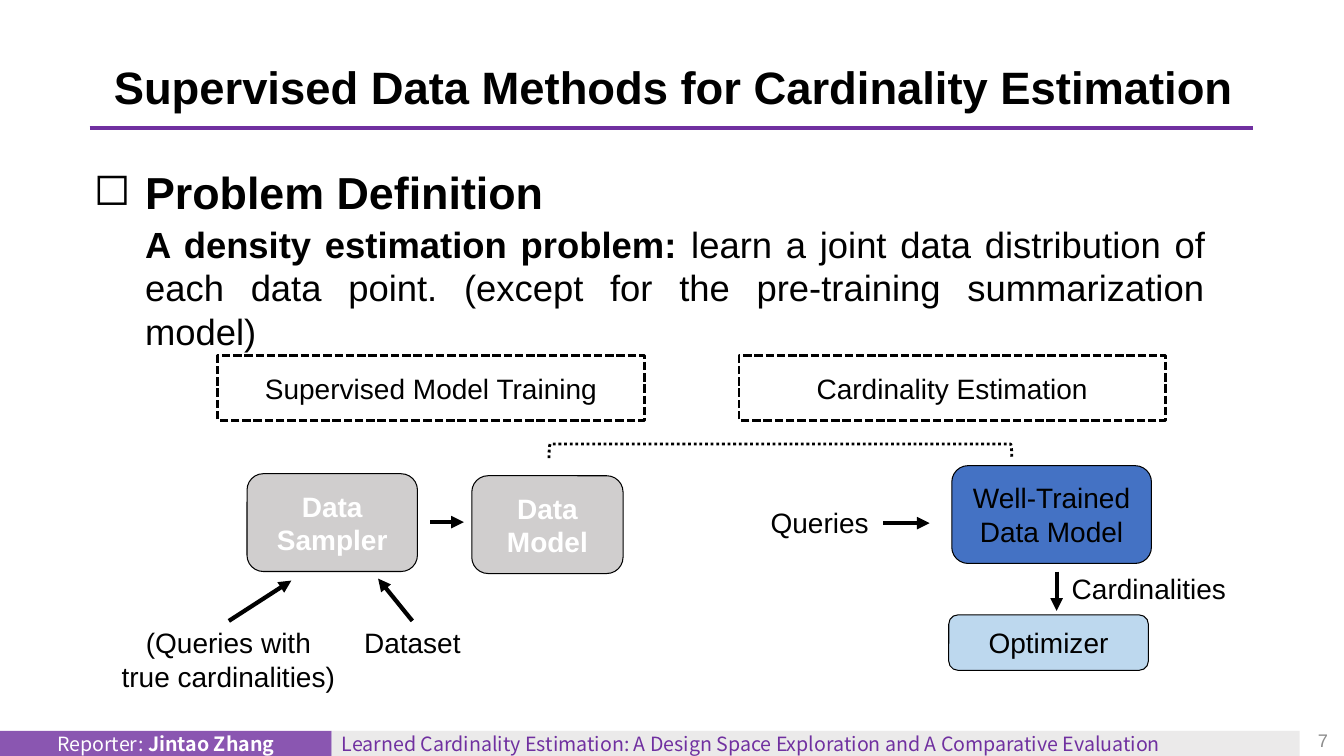
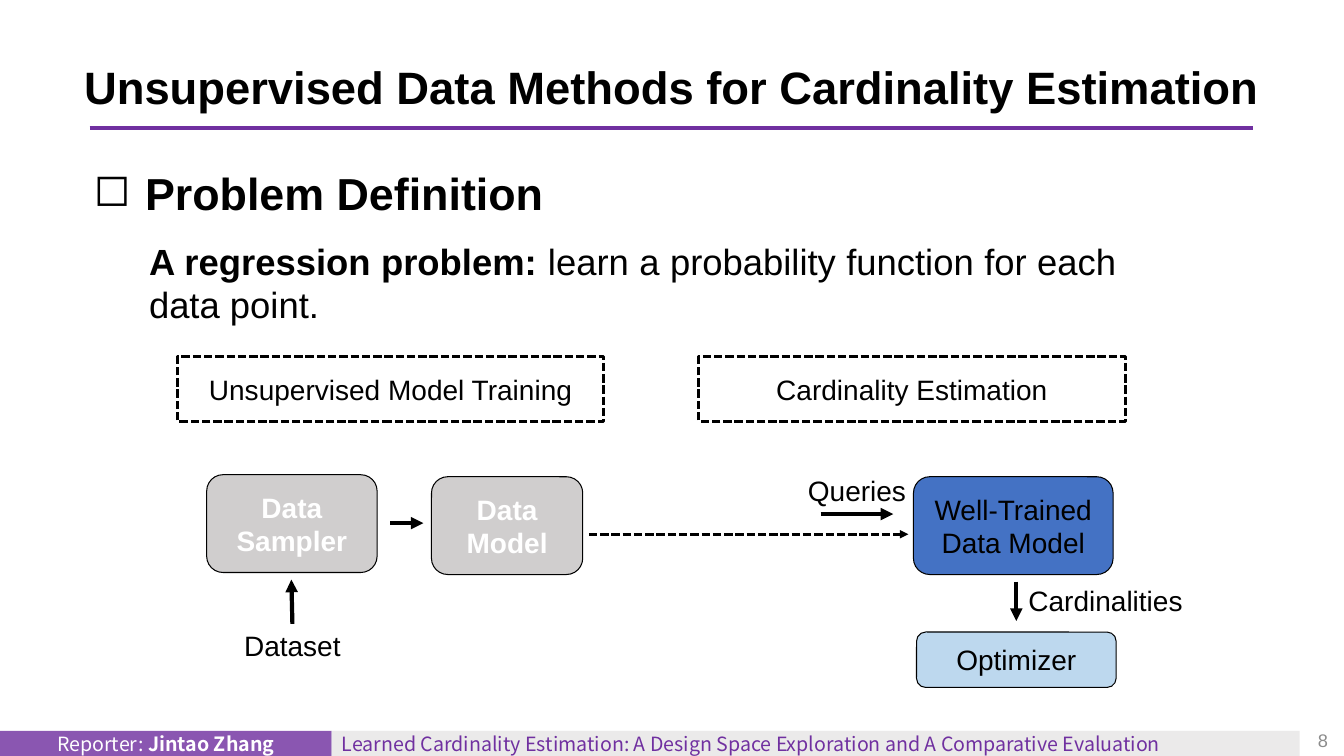
"""Build two slides on supervised and unsupervised data methods for cardinality estimation."""
from dataclasses import dataclass

from lxml.etree import SubElement
from pptx import Presentation
from pptx.dml.color import RGBColor
from pptx.enum.dml import MSO_LINE
from pptx.enum.shapes import MSO_CONNECTOR, MSO_SHAPE
from pptx.enum.text import MSO_ANCHOR, MSO_AUTO_SIZE, PP_ALIGN
from pptx.oxml.ns import qn
from pptx.util import Inches, Pt


@dataclass(frozen=True)
class Theme:
    purple: str = "7030A0"
    black: str = "000000"
    white: str = "FFFFFF"
    band: str = "E7E6E6"
    page: str = "8C8C8C"
    grey: str = "D0CECE"
    blue: str = "4472C4"
    pale: str = "BDD8EE"
    font: str = "Arial"
    footer_font: str = "Noto Sans CJK SC"
    title: float = 32.4
    heading: float = 32
    body: float = 26
    label: float = 20
    footer: float = 14
    number: float = 13
    band_alpha: int = 81000


THEME = Theme()
CENTER, LEFT, RIGHT, JUSTIFY = PP_ALIGN.CENTER, PP_ALIGN.LEFT, PP_ALIGN.RIGHT, PP_ALIGN.JUSTIFY
ROUNDED, RECTANGLE = MSO_SHAPE.ROUNDED_RECTANGLE, MSO_SHAPE.RECTANGLE
DASH, DOT = MSO_LINE.SQUARE_DOT, MSO_LINE.ROUND_DOT


def write(frame, paragraphs, size=THEME.label, color=THEME.black, align=CENTER,
          font=THEME.font, anchor=MSO_ANCHOR.MIDDLE, wrap=True, spacing=None):
    frame.auto_size = MSO_AUTO_SIZE.NONE
    frame.word_wrap = wrap
    frame.vertical_anchor = anchor
    for index, runs in enumerate(paragraphs):
        paragraph = frame.add_paragraph() if index else frame.paragraphs[0]
        paragraph.alignment = align
        if spacing:
            paragraph.line_spacing = spacing
        for text, bold in runs:
            run = paragraph.add_run()
            run.text = text
            run.font.name = font
            run.font.size = Pt(size)
            run.font.bold = bold
            run.font.color.rgb = RGBColor.from_string(color)


def draw(slide, kind, place, fill=None, edge=None, dash=None):
    shape = slide.shapes.add_shape(kind, *map(Inches, place))
    shape.shadow.inherit = False
    if fill:
        shape.fill.solid()
        shape.fill.fore_color.rgb = RGBColor.from_string(fill)
    else:
        shape.fill.background()
    if edge:
        shape.line.color.rgb = RGBColor.from_string(THEME.black)
        shape.line.width = Pt(edge)
        shape.line.dash_style = dash
    else:
        shape.line.fill.background()
    return shape


METHODS = [
    {
        "number": "7",
        "title": "Supervised Data Methods for Cardinality Estimation",
        "title_place": (0.93, 0.53, 11.5, 0.73),
        "shift": (0, 0),
        "problem": [("A density estimation problem: ", True),
                    ("learn a joint data distribution of each data point. "
                     "(except for the pre-training summarization model)", False)],
        "problem_place": (1.34, 2.15, 10.72, 0.98),
        "training": "Supervised Model Training",
        "trained_model": (9.44, 4.62),
        "optimizer": (9.41, 6.1),
        "labels": [("Queries", (7.54, 4.97, 1.18, 0.44), False),
                   ("Cardinalities", (10.52, 5.62, 1.75, 0.44), False),
                   ("(Queries with true cardinalities)", (1.07, 6.16, 2.39, 0.77), True),
                   ("Dataset", (3.5, 6.16, 1.18, 0.44), True)],
        "arrows": [((10.48, 5.67), (10.48, 6.06), 3, None),
                   ((8.76, 5.19), (9.22, 5.19), 3, None),
                   ((2.27, 6.16), (2.89, 5.76), 3, None),
                   ((4.09, 6.16), (3.75, 5.74), 3, None)],
        "bracket": (7.67, 2.18, 0.14, 4.59),
    },
    {
        "number": "8",
        "title": "Unsupervised Data Methods for Cardinality Estimation",
        "title_place": (0.66, 0.53, 12, 0.73),
        "shift": (-0.4, 0.01),
        "problem": [("A regression problem: ", True),
                    ("learn a probability function for each data point.", False)],
        "problem_place": (1.38, 2.32, 9.8, 0.98),
        "training": "Unsupervised Model Training",
        "trained_model": (9.06, 4.73),
        "optimizer": (9.09, 6.27),
        "labels": [("Queries", (7.91, 4.65, 1.18, 0.44), False),
                   ("Cardinalities", (10.09, 5.74, 1.75, 0.44), False),
                   ("Dataset", (2.31, 6.19, 1.18, 0.44), True)],
        "arrows": [((10.08, 5.77), (10.08, 6.16), 3, None),
                   ((8.14, 5.1), (8.86, 5.1), 3, None),
                   ((2.9, 6.19), (2.89, 5.75), 3, None),
                   ((5.84, 5.3), (9.01, 5.3), 2, DASH)],
        "bracket": None,
    },
]

prs = Presentation()
prs.slide_width, prs.slide_height = Inches(13.33), Inches(7.5)

for method in METHODS:
    slide = prs.slides.add_slide(prs.slide_layouts[5])
    dx, dy = method["shift"]

    title = slide.shapes.title
    title.left, title.top, title.width, title.height = map(Inches, method["title_place"])
    write(title.text_frame, [[(method["title"], True)]], THEME.title, spacing=0.9)

    bands = [
        ((0, 7.25, 3.29, 0.26), THEME.purple, THEME.white, CENTER,
         [("Reporter: ", False), ("Jintao Zhang", True)]),
        ((3.29, 7.25, 9.6, 0.26), THEME.band, THEME.purple, LEFT,
         [("Learned Cardinality Estimation: A Design Space Exploration "
           "and A Comparative Evaluation", False)]),
    ]
    for place, fill, color, align, runs in bands:
        band = draw(slide, RECTANGLE, place, fill)
        tint = next(band.fill._xPr.iter(qn("a:srgbClr")))
        SubElement(tint, qn("a:alpha"), val=str(THEME.band_alpha))
        write(band.text_frame, [runs], THEME.footer, color, align, THEME.footer_font)

    page_number = slide.shapes.add_textbox(*map(Inches, (12.82, 7.14, 0.45, 0.4)))
    write(page_number.text_frame, [[(method["number"], False)]],
          THEME.number, THEME.page, RIGHT)

    heading = slide.shapes.add_textbox(*map(Inches, (0.83, 1.32 + dy, 10.32, 0.81)))
    write(heading.text_frame, [[("Problem Definition", True)]], THEME.heading,
          align=LEFT, anchor=MSO_ANCHOR.TOP, spacing=1.5)
    bullet = heading.text_frame.paragraphs[0]._p.get_or_add_pPr()
    bullet.set("marL", str(Inches(0.51)))
    bullet.set("indent", str(Inches(-0.51)))
    SubElement(bullet, qn("a:buChar"), char="◻")

    problem = slide.shapes.add_textbox(*map(Inches, method["problem_place"]))
    write(problem.text_frame, [method["problem"]], THEME.body,
          align=JUSTIFY, anchor=MSO_ANCHOR.TOP)

    for phase, left in ((method["training"], 2.16), ("Cardinality Estimation", 7.33)):
        phase_box = draw(slide, RECTANGLE, (left + dx, 3.53 + dy, 4.23, 0.64),
                         edge=2, dash=DASH)
        write(phase_box.text_frame, [[(phase, False)]])

    steps = [
        (("Data", "Sampler"), (2.45 + dx, 4.7 + dy, 1.69, 0.97), THEME.grey, THEME.white, True),
        (("Data", "Model"), (4.68 + dx, 4.72 + dy, 1.5, 0.97), THEME.grey, THEME.white, True),
        (("Well-Trained", "Data Model"), (*method["trained_model"], 1.98, 0.97),
         THEME.blue, THEME.black, False),
        (("Optimizer",), (*method["optimizer"], 1.98, 0.55), THEME.pale, THEME.black, False),
    ]
    for words, place, fill, color, bold in steps:
        step = draw(slide, ROUNDED, place, fill, edge=0.75)
        write(step.text_frame, [[(word, bold)] for word in words], color=color)

    for words, place, wrap in method["labels"]:
        label = slide.shapes.add_textbox(*map(Inches, place))
        write(label.text_frame, [[(words, False)]], anchor=MSO_ANCHOR.TOP, wrap=wrap)

    if method["bracket"]:
        bracket = draw(slide, MSO_SHAPE.LEFT_BRACKET, method["bracket"], edge=2, dash=DOT)
        bracket.rotation = 90

    title_rule = ((0.89, 1.27), (12.43, 1.27), 3, None, THEME.purple, False)
    sampler_to_model = ((4.27 + dx, 5.18 + dy), (4.6 + dx, 5.18 + dy), 3, None)
    arrows = [(*arrow, THEME.black, True) for arrow in [sampler_to_model, *method["arrows"]]]
    for start, end, width, dash, color, pointed in [title_rule, *arrows]:
        link = slide.shapes.add_connector(MSO_CONNECTOR.STRAIGHT, *map(Inches, (*start, *end)))
        link.line.color.rgb = RGBColor.from_string(color)
        link.line.width = Pt(width)
        link.line.dash_style = dash
        if pointed:
            SubElement(link.get_or_add_ln(), qn("a:tailEnd"), type="triangle")
        SubElement(link._element.spPr, qn("a:effectLst"))

prs.save("out.pptx")
